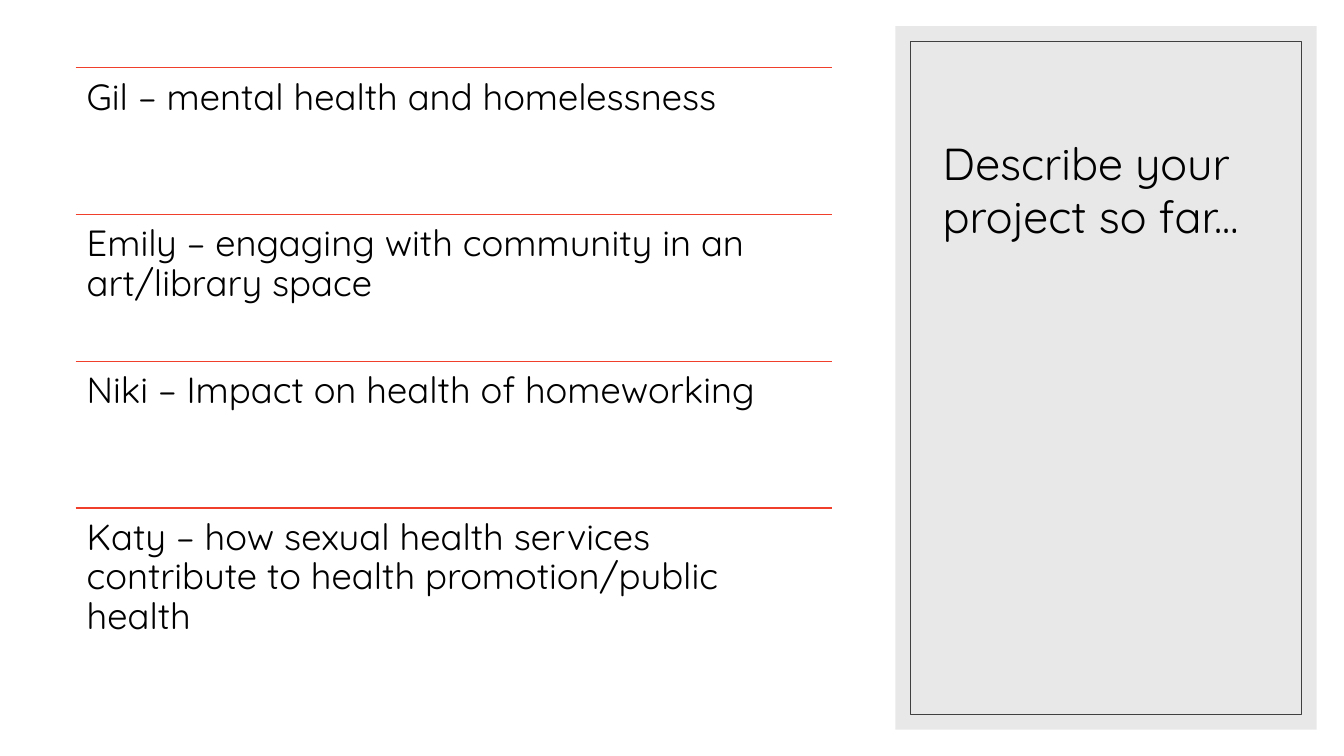
from lxml import etree
from pptx import Presentation, util as u
from pptx.dml.color import RGBColor
from pptx.enum import shapes, text
from pptx.oxml.ns import qn

COLOURS = {"panel": "D9D9D9", "frame": "404040", "rule": "F03F2B", "ink": "000000"}
FONT = "Quicksand"
LIST_LEFT, LIST_TOP, LIST_WIDTH, ROW_HEIGHT = 0.75, 0.67, 7.5, 1.457
PANEL = (8.88, 0.26, 4.18, 6.98)
FRAME_GAP = 0.15
PROJECTS = [
    "Gil – mental health and homelessness",
    "Emily – engaging with community in an art/library space",
    "Niki – Impact on health of homeworking",
    "Katy – how sexual health services contribute to health promotion/public health",
]


def colour(name):
    return RGBColor.from_string(COLOURS[name])


def inches(*lengths):
    return [u.Inches(length) for length in lengths]


def add_rectangle(page, left, top, width, height):
    box = page.shapes.add_shape(
        shapes.MSO_SHAPE.RECTANGLE, *inches(left, top, width, height))
    box.shadow.inherit = False
    return box


def add_panel(page):
    panel = add_rectangle(page, *PANEL)
    panel.line.fill.background()
    panel.fill.solid()
    panel.fill.fore_color.rgb = colour("panel")
    fill_colour = panel.element.spPr.find(qn("a:solidFill"))[0]
    etree.SubElement(fill_colour, qn("a:alpha"), val="60000")

    left, top, width, height = PANEL
    frame = add_rectangle(page, left + FRAME_GAP, top + FRAME_GAP,
                          width - 2 * FRAME_GAP, height - 2 * FRAME_GAP)
    frame.fill.background()
    frame.line.color.rgb = colour("frame")
    frame.line.width = u.Pt(0.5)


def write_text(box, words, size, line_spacing):
    box.text_frame.text = words
    box.text_frame.word_wrap = True
    box.text_frame.auto_size = text.MSO_AUTO_SIZE.NONE
    para = box.text_frame.paragraphs[0]
    para.alignment = text.PP_ALIGN.LEFT
    para.line_spacing = line_spacing
    span = para.runs[0]
    span.font.name = FONT
    span.font.size = u.Pt(size)
    span.font.color.rgb = colour("ink")


def place_title(page, words):
    title = page.shapes.title
    title.left, title.top, title.width, title.height = inches(9.25, 0.66, 3.46, 1.8)
    write_text(title, words, 32, 1.0)
    title.text_frame.vertical_anchor = text.MSO_ANCHOR.BOTTOM
    title.element.getparent().append(title.element)


def add_rule(group, top):
    rule = group.shapes.add_connector(
        shapes.MSO_CONNECTOR.STRAIGHT,
        *inches(LIST_LEFT, top, LIST_LEFT + LIST_WIDTH, top))
    rule.line.color.rgb = colour("rule")
    rule.line.width = u.Pt(1)
    etree.SubElement(rule.element.spPr, qn("a:effectLst"))


def add_project(group, top, words):
    add_rule(group, top)
    box = group.shapes.add_textbox(*inches(LIST_LEFT, top, LIST_WIDTH, ROW_HEIGHT))
    write_text(box, words, 26, 0.9)
    frame = box.text_frame
    frame.margin_left = frame.margin_right = u.Inches(0.11)
    frame.margin_top = frame.margin_bottom = u.Inches(0.11)


def main():
    deck = Presentation()
    deck.slide_width, deck.slide_height = inches(13.33, 7.5)
    page = deck.slides.add_slide(deck.slide_layouts[5])
    add_panel(page)
    place_title(page, "Describe your project so far...")
    project_list = page.shapes.add_group_shape()
    for row, words in enumerate(PROJECTS):
        add_project(project_list, LIST_TOP + row * ROW_HEIGHT, words)
    deck.save("out.pptx")


if __name__ == "__main__":
    main()
